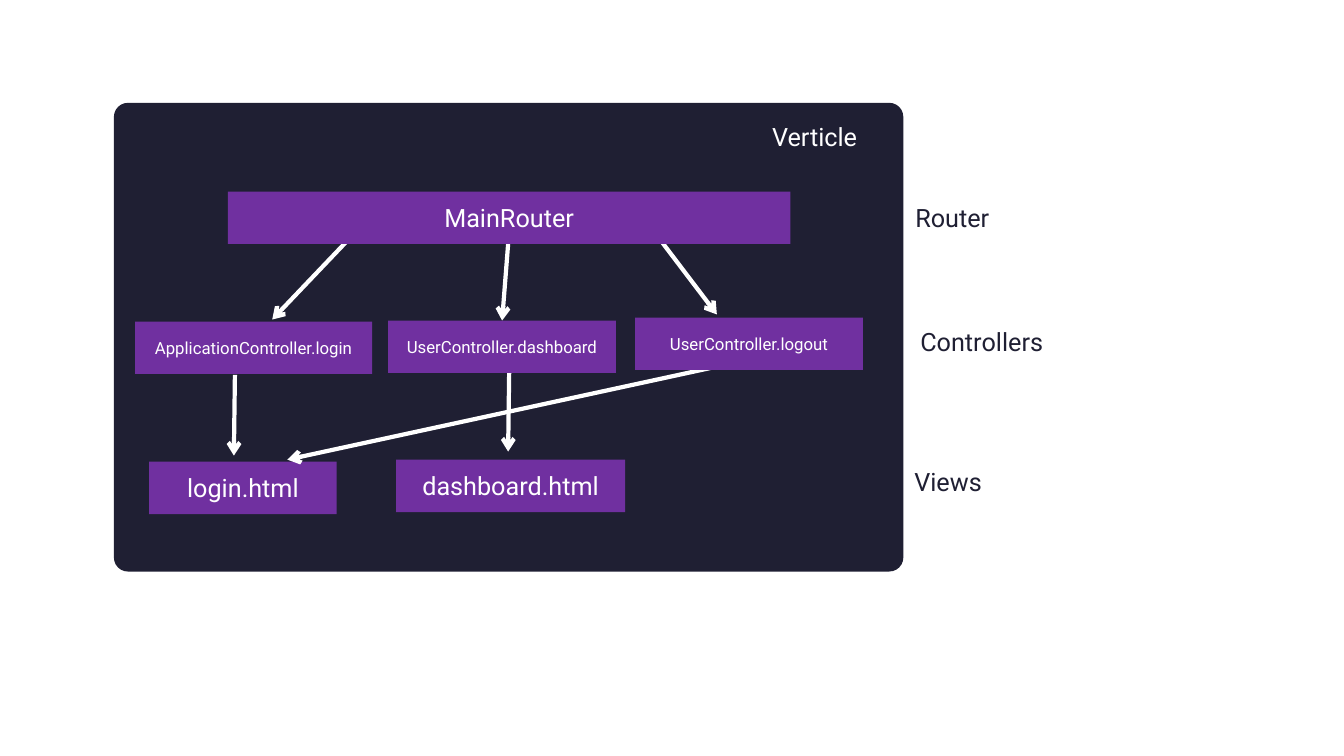
import pptx
import pptx.util
import pptx.dml.color
import pptx.enum.shapes
import pptx.enum.text
import pptx.oxml
import pptx.oxml.ns
from dataclasses import dataclass

PX = 9144  # 100 px to the inch
BOX_HEIGHT = 52
LABEL_HEIGHT = 40


@dataclass(frozen=True)
class Theme:
    font: str = "Roboto"
    navy: pptx.dml.color.RGBColor = pptx.dml.color.RGBColor(0x1F, 0x1F, 0x33)
    purple: pptx.dml.color.RGBColor = pptx.dml.color.RGBColor(0x70, 0x30, 0xA0)
    white: pptx.dml.color.RGBColor = pptx.dml.color.RGBColor(0xFF, 0xFF, 0xFF)
    large: int = 18
    small: int = 12
    arrow_width: int = 3


theme = Theme()
align = pptx.enum.text.PP_ALIGN
shape_type = pptx.enum.shapes.MSO_SHAPE

presentation = pptx.Presentation()
presentation.slide_width = 1333 * PX
presentation.slide_height = 750 * PX
slide = presentation.slides.add_slide(presentation.slide_layouts[6])


def write_text(shape, text, size, color, alignment):
    paragraph = shape.text_frame.paragraphs[0]
    paragraph.alignment = alignment
    run = paragraph.add_run()
    run.text = text
    run.font.name = theme.font
    run.font.size = pptx.util.Pt(size)
    run.font.color.rgb = color


def add_block(kind, left, top, width, height, color):
    """Add a flat filled shape without outline or shadow."""
    block = slide.shapes.add_shape(kind, left * PX, top * PX, width * PX, height * PX)
    block.shadow.inherit = False
    block.fill.solid()
    block.fill.fore_color.rgb = color
    block.line.fill.background()
    return block


verticle = add_block(shape_type.ROUNDED_RECTANGLE, 113, 102, 783, 465, theme.navy)
verticle.adjustments[0] = 0.03

views = [
    ("login.html", 148, 458, 186, theme.large),
    ("dashboard.html", 393, 456, 227, theme.large),
]
router_and_controllers = [
    ("MainRouter", 226, 190, 558, theme.large),
    ("ApplicationController.login", 134, 319, 235, theme.small),
    ("UserController.dashboard", 385, 318, 226, theme.small),
    ("UserController.logout", 630, 315, 226, theme.small),
]
arrows = [
    (350, 233, 270, 317),  # router to controllers
    (504, 242, 498, 318),
    (642, 221, 711, 312),
    (719, 362, 285, 456),  # controllers to views
    (505, 369, 504, 448),
    (233, 372, 232, 452),
]

# Arrows lie above the views and below the boxes they start from.
for layer in (views, arrows, router_and_controllers):
    if layer is arrows:
        for ends in arrows:
            arrow = slide.shapes.add_connector(
                pptx.enum.shapes.MSO_CONNECTOR.STRAIGHT, *(end * PX for end in ends))
            arrow.line.color.rgb = theme.white
            arrow.line.width = pptx.util.Pt(theme.arrow_width)
            line = arrow.line._get_or_add_ln()
            line.append(pptx.oxml.parse_xml(
                f'<a:tailEnd {pptx.oxml.ns.nsdecls("a")} type="arrow"/>'))
            arrow._element.spPr.append(pptx.oxml.parse_xml(
                f'<a:effectLst {pptx.oxml.ns.nsdecls("a")}/>'))
        continue
    for text, left, top, width, size in layer:
        box = add_block(shape_type.RECTANGLE, left, top, width, BOX_HEIGHT, theme.purple)
        box.text_frame.word_wrap = True
        box.text_frame.vertical_anchor = pptx.enum.text.MSO_ANCHOR.MIDDLE
        write_text(box, text, size, theme.white, align.CENTER)

labels = [
    ("Verticle", 520, 115, 340, theme.white, align.RIGHT),
    ("Router", 898, 196, 99, theme.navy, align.LEFT),
    ("Controllers", 903, 319, 167, theme.navy, align.LEFT),
    ("Views", 897, 458, 101, theme.navy, align.LEFT),
]
for text, left, top, width, color, alignment in labels:
    label = slide.shapes.add_textbox(left * PX, top * PX, width * PX, LABEL_HEIGHT * PX)
    label.text_frame.word_wrap = True
    label.text_frame.auto_size = pptx.enum.text.MSO_AUTO_SIZE.SHAPE_TO_FIT_TEXT
    write_text(label, text, theme.large, color, alignment)

presentation.save("out.pptx")
